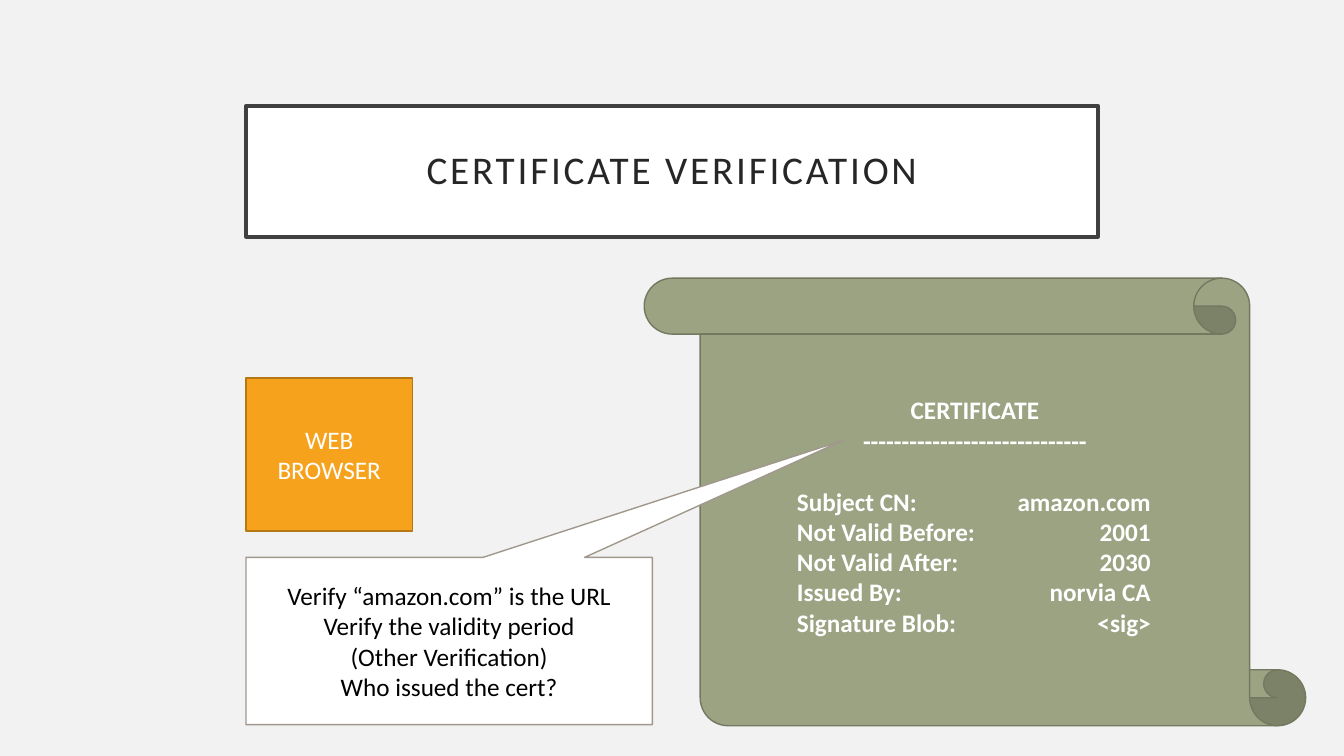
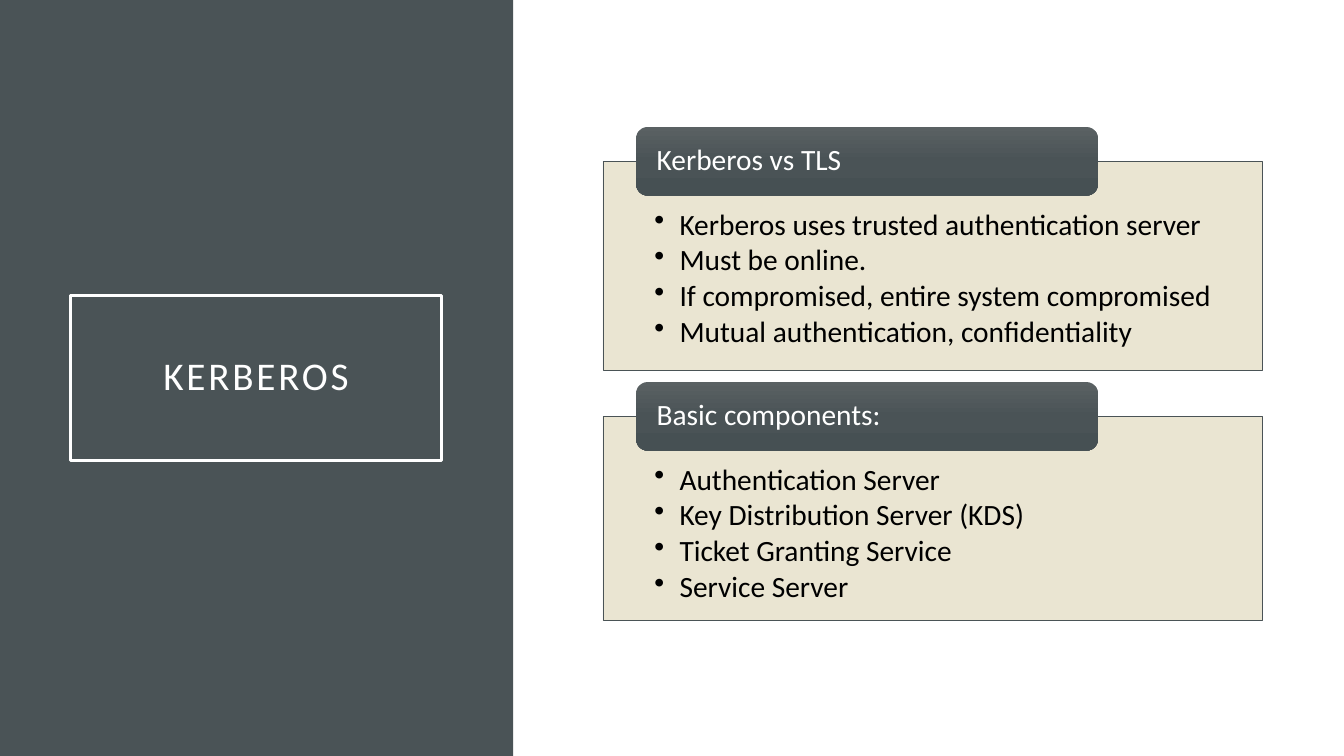
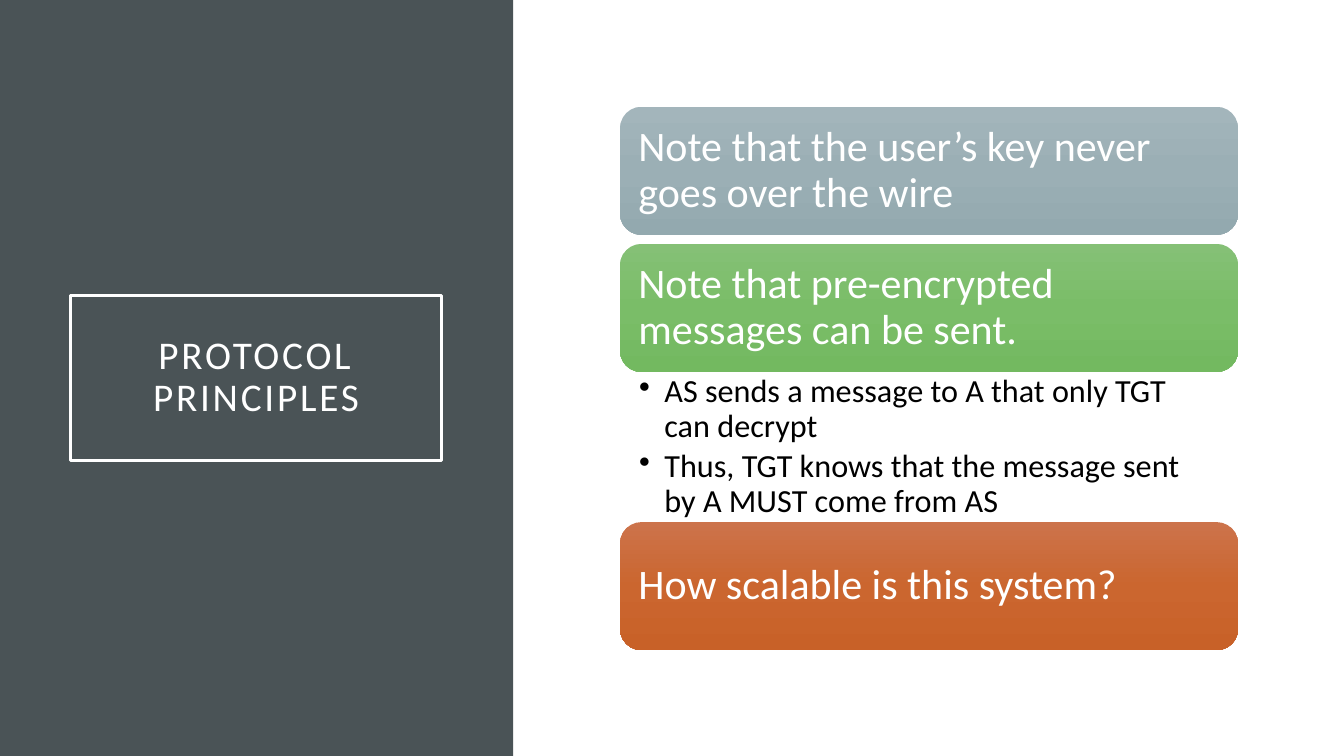
from copy import deepcopy

from pptx import Presentation
from pptx.dml.color import RGBColor
from pptx.enum.shapes import MSO_SHAPE as SHAPE
from pptx.enum.text import MSO_ANCHOR as ANCHOR, PP_ALIGN as ALIGN
from pptx.oxml.ns import qn
from pptx.util import Inches, Pt

FONT = "Calibri"
WHITE, BLACK, INK = "FFFFFF", "000000", "262626"
SLATE, SAND, PALE = "4A5356", "E8E3CE", "F2F2F2"
SLATE_BLEND = ("5A6163", SLATE, "465053")
BLUE_BLEND = ("A3B5BB", "9BAFB5", "93A9AF")
GREEN_BLEND = ("85C076", "7ABD68", "73B960")
ORANGE_BLEND = ("CC734B", "CB662F", "C86128")


def colour(value):
    return RGBColor.from_string(value)


class Deck:
    def __init__(self):
        self.presentation = Presentation()
        self.presentation.slide_width = Inches(13.33)
        self.presentation.slide_height = Inches(7.5)
        self.slide = None

    def add_slide(self, background):
        self.slide = self.presentation.slides.add_slide(self.presentation.slide_layouts[6])
        fill = self.slide.background.fill
        fill.solid()
        fill.fore_color.rgb = colour(background)

    def shape(self, kind, box, fill=None, line=None, width=1):
        shape = self.slide.shapes.add_shape(kind, *map(Inches, box))
        shape.shadow.inherit = False
        if fill is None:
            shape.fill.background()
        elif isinstance(fill, tuple):
            self.blend(shape, fill)
        else:
            shape.fill.solid()
            shape.fill.fore_color.rgb = colour(fill)
        if line:
            shape.line.color.rgb = colour(line)
            shape.line.width = Pt(width)
        else:
            shape.line.fill.background()
        return shape

    def blend(self, shape, colours):
        shape.fill.gradient()
        shape.fill.gradient_angle = 270
        stops = shape._element.spPr.find(".//" + qn("a:gsLst"))
        stops.append(deepcopy(stops[0]))
        for index, stop in enumerate(shape.fill.gradient_stops):
            stop.position = index / 2
            stop.color.rgb = colour(colours[index])

    def set_text(self, shape, lines, size=18, ink=WHITE, align=ALIGN.CENTER, anchor=ANCHOR.MIDDLE,
                 insets=(0.1, 0.05, 0.1, 0.05), bold=False, spacing=None, after=None):
        frame = shape.text_frame
        frame.word_wrap = True
        frame.vertical_anchor = anchor
        frame.margin_left, frame.margin_top, frame.margin_right, frame.margin_bottom = map(Inches, insets)
        frame.text = "\n".join(lines)
        for paragraph in frame.paragraphs:
            paragraph.alignment = align
            paragraph.line_spacing = spacing
            if after:
                paragraph.space_after = Pt(after)
            for run in paragraph.runs:
                run.font.name = FONT
                run.font.size = Pt(size)
                run.font.bold = bold
                run.font.color.rgb = colour(ink)
        return frame.paragraphs

    def bullets(self, shape, lines, size, insets, after):
        paragraphs = self.set_text(shape, lines, size, BLACK, ALIGN.LEFT, ANCHOR.TOP,
                                   insets, spacing=0.9, after=after)
        for paragraph in paragraphs:
            properties = paragraph._p.get_or_add_pPr()
            properties.set("marL", str(Inches(0.25)))
            properties.set("indent", str(-Inches(0.25)))
            bullet = properties.makeelement(qn("a:buChar"), {"char": "•"})
            properties.append(bullet)

    def title(self, text, box, ink, line, fill=None):
        shape = self.shape(SHAPE.RECTANGLE, box, fill, line, 2.5)
        paragraphs = self.set_text(shape, [text], 28, ink, insets=(0.2,) * 4, spacing=0.9)
        paragraphs[0].runs[0].font._element.set("spc", "200")

    def side_title_slide(self, text):
        self.add_slide(WHITE)
        self.shape(SHAPE.RECTANGLE, (0, 0, 5.09, 7.5), SLATE)
        self.title(text, (0.7, 2.93, 3.68, 1.64), WHITE, WHITE)

    def label(self, text, box, fill, size, insets):
        shape = self.shape(SHAPE.ROUNDED_RECTANGLE, box, fill)
        self.set_text(shape, [text], size, align=ALIGN.LEFT, insets=insets, spacing=0.9)

    def panel(self, heading, lines, top, height):
        shape = self.shape(SHAPE.RECTANGLE, (5.98, top, 6.54, height), SAND, SLATE, 0.5)
        tint = shape._element.spPr.find(qn("a:solidFill"))[0]
        tint.append(tint.makeelement(qn("a:alpha"), {"val": "90000"}))
        self.bullets(shape, lines, 21, (0.51, 0.48, 0.51, 0.16), 3)
        self.label(heading, (6.31, top - 0.34, 4.58, 0.68), SLATE_BLEND, 21, (0.17, 0, 0.17, 0))

    def certificate(self, box, heading, fields):
        shape = self.shape(SHAPE.VERTICAL_SCROLL, box, "9CA383", "737961")
        shape._element.spPr.xfrm.set("flipH", "1")
        rows = ["\t".join(field) for field in fields]
        paragraphs = self.set_text(shape, heading + rows, bold=True, insets=(0.96, 0.05, 0.96, 0.05))
        field_paragraphs = paragraphs[len(heading):]
        field_paragraphs[0].space_before = Pt(22)
        for paragraph in field_paragraphs:
            paragraph.alignment = ALIGN.LEFT
            properties = paragraph._p.get_or_add_pPr()
            tabs = properties.makeelement(qn("a:tabLst"), {})
            tabs.append(tabs.makeelement(qn("a:tab"), {"pos": str(Inches(3.51)), "algn": "r"}))
            properties.append(tabs)

    def callout(self, box, lines, tip):
        shape = self.shape(SHAPE.RECTANGULAR_CALLOUT, box, WHITE, "A0988C")
        shape.adjustments[0], shape.adjustments[1] = tip
        self.set_text(shape, lines, ink=BLACK)


def verification_slide(deck):
    deck.add_slide(PALE)
    deck.title("CERTIFICATE VERIFICATION", (2.44, 1.05, 8.45, 1.3), INK, "404040", WHITE)
    browser = deck.shape(SHAPE.RECTANGLE, (2.44, 3.75, 1.65, 1.52), "F6A21D", "B67815")
    deck.set_text(browser, ["WEB BROWSER"])
    deck.certificate((6.39, 2.76, 6.56, 4.44), ["CERTIFICATE", "-" * 29], [
        ("Subject CN:", "amazon.com"),
        ("Not Valid Before:", "2001"),
        ("Not Valid After:", "2030"),
        ("Issued By:", "norvia CA"),
        ("Signature Blob:", "<sig>"),
    ])
    deck.callout((2.44, 5.53, 4.03, 1.66), [
        "Verify “amazon.com” is the URL",
        "Verify the validity period",
        "(Other Verification)",
        "Who issued the cert?",
    ], (0.97, -1.2))


def kerberos_slide(deck):
    deck.side_title_slide("KERBEROS")
    deck.panel("Kerberos vs TLS", [
        "Kerberos uses trusted authentication server",
        "Must be online.",
        "If compromised, entire system compromised",
        "Mutual authentication, confidentiality",
    ], 1.6, 2.07)
    deck.panel("Basic components:", [
        "Authentication Server",
        "Key Distribution Server (KDS)",
        "Ticket Granting Service",
        "Service Server",
    ], 4.13, 2.03)


def principles_slide(deck):
    deck.side_title_slide("PROTOCOL PRINCIPLES")
    left, width, height = 6.15, 6.13, 1.27
    for text, top, blend in (
        ("Note that the user’s key never goes over the wire", 1.06, BLUE_BLEND),
        ("Note that pre-encrypted messages can be sent.", 2.42, GREEN_BLEND),
        ("How scalable is this system?", 5.18, ORANGE_BLEND),
    ):
        deck.label(text, (left, top, width, height), blend, 30, (0.12,) * 4)
    details = deck.slide.shapes.add_textbox(*map(Inches, (left, 3.68, width, 1.49)))
    deck.bullets(details, [
        "AS sends a message to A that only TGT can decrypt",
        "Thus, TGT knows that the message sent by A MUST come from AS",
    ], 23, (0.19, 0.04, 0.23, 0.04), 4)


def main():
    deck = Deck()
    verification_slide(deck)
    kerberos_slide(deck)
    principles_slide(deck)
    deck.presentation.save("out.pptx")


if __name__ == "__main__":
    main()
